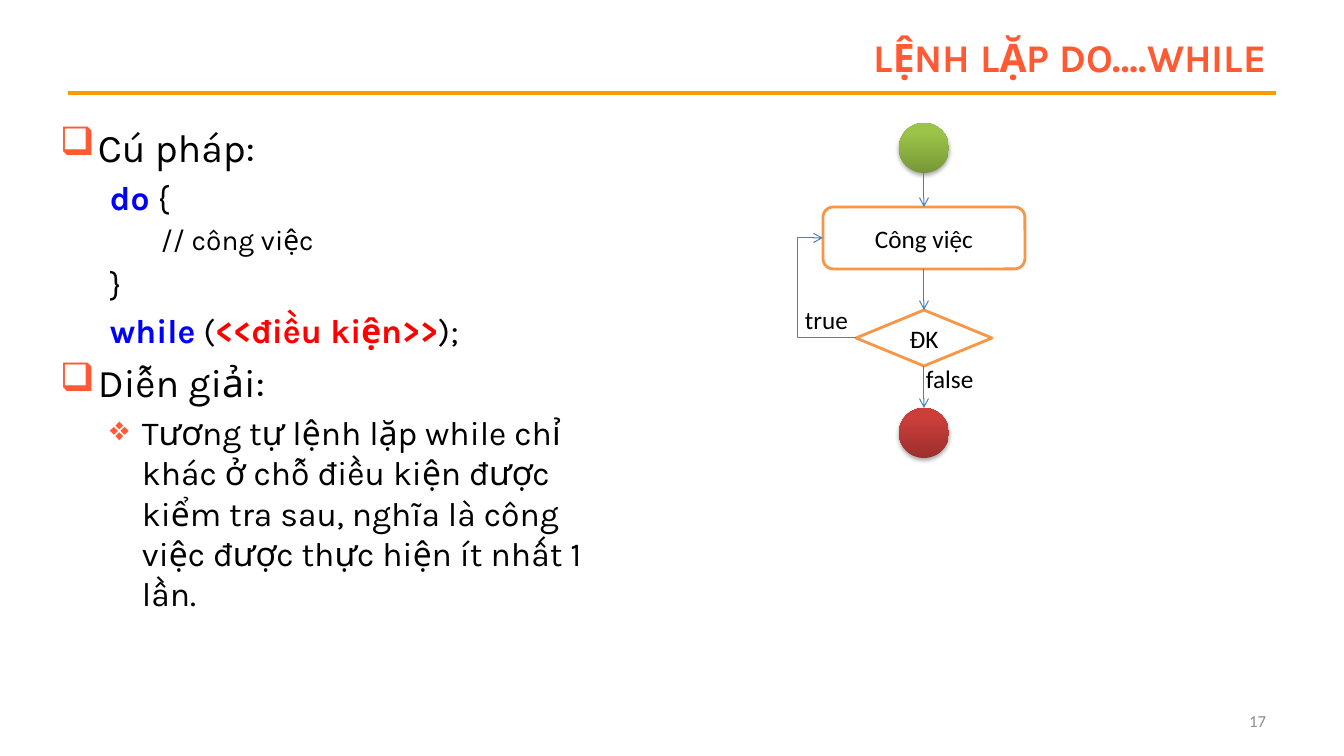
import pptx
import pptx.util
import pptx.dml.color
import pptx.enum.shapes
import pptx.enum.text
import pptx.oxml
import pptx.oxml.ns

SHAPE = pptx.enum.shapes.MSO_SHAPE
CONNECTOR = pptx.enum.shapes.MSO_CONNECTOR
ANCHOR = pptx.enum.text.MSO_ANCHOR
ALIGN = pptx.enum.text.PP_ALIGN
BLACK, ACCENT, KEYWORD, CONDITION = "000000", "FF5A33", "0000FF", "FF0000"
TOP, BOTTOM = 0, 2


def px(length):
    return pptx.util.Emu(round(length * 914400 / 100.8))


def rgb(value):
    return pptx.dml.color.RGBColor.from_string(value)


def add_xml(parent, body):
    tag, rest = body.split(" ", 1) if " " in body.split(">")[0] else (body[:-2], "/>")
    parent.append(pptx.oxml.parse_xml(f"{tag} {pptx.oxml.ns.nsdecls('a')} {rest}"))


class Slide:
    heading_font = "Karla"
    diagram_font = "Calibri"
    flow_color = "4B7EBC"
    outline_color = "F79646"

    def __init__(self, deck):
        self.shapes = deck.slides.add_slide(deck.slide_layouts[6]).shapes

    def style(self, font, face, size, color, bold=None):
        font.name, font.size, font.bold = face, pptx.util.Pt(size), bold
        font.color.rgb = rgb(color)

    def frame(self, left, top, width, height, anchor=ANCHOR.TOP, wrap=True):
        frame = self.shapes.add_textbox(px(left), px(top), px(width), px(height)).text_frame
        frame.word_wrap, frame.vertical_anchor = wrap, anchor
        return frame

    def text(self, words, box, size, color=BLACK, face=diagram_font, bold=None,
             align=ALIGN.LEFT, anchor=ANCHOR.TOP, wrap=True):
        paragraph = self.frame(*box, anchor, wrap).paragraphs[0]
        paragraph.text, paragraph.alignment = words, align
        self.style(paragraph.font, face, size, color, bold)

    def outline(self, items, box):
        frame = self.frame(*box)
        for index, (level, size, margin, indent, bullet, runs) in enumerate(items):
            paragraph = frame.add_paragraph() if index else frame.paragraphs[0]
            paragraph.level = level
            paragraph.space_before = pptx.util.Pt(size * 0.2)
            properties = paragraph._p.get_or_add_pPr()
            properties.set("marL", str(px(margin)))
            properties.set("indent", str(px(indent)))
            if bullet:
                add_xml(properties, f'<a:buClr ><a:srgbClr val="{ACCENT}"/></a:buClr>')
                add_xml(properties, f'<a:buChar char="{bullet}"/>')
            for words, color in runs:
                run = paragraph.add_run()
                run.text = words
                if len(runs) > 1:
                    self.style(run.font, self.heading_font, size, color, color != BLACK)
            if len(runs) == 1:
                self.style(paragraph.font, self.heading_font, size, runs[0][1])

    def terminal(self, left, top, size, dark, light):
        circle = self.shapes.add_shape(SHAPE.OVAL, px(left), px(top), px(size), px(size))
        circle.line.fill.background()
        circle.fill.gradient()
        circle.fill.gradient_angle = 90
        for stop, color, position in zip(circle.fill.gradient_stops, (dark, light), (0, 0.8)):
            stop.color.rgb, stop.position = rgb(color), position
        add_xml(circle._element.spPr,
                '<a:effectLst ><a:outerShdw blurRad="40000" dist="23000" dir="5400000" '
                'rotWithShape="0"><a:srgbClr val="000000"><a:alpha val="35000"/>'
                '</a:srgbClr></a:outerShdw></a:effectLst>')
        return circle

    def step(self, kind, words, left, top, width, height):
        box = self.shapes.add_shape(kind, px(left), px(top), px(width), px(height))
        box.shadow.inherit = False
        box.fill.solid()
        box.fill.fore_color.rgb = rgb("FFFFFF")
        box.line.color.rgb = rgb(self.outline_color)
        box.line.width = pptx.util.Pt(2)
        box.text_frame.vertical_anchor = ANCHOR.MIDDLE
        paragraph = box.text_frame.paragraphs[0]
        paragraph.text, paragraph.alignment = words, ALIGN.CENTER
        self.style(paragraph.font, self.diagram_font, 18, BLACK)
        return box

    def line(self, start, end, color=flow_color, width=0.75, kind=CONNECTOR.STRAIGHT, arrow=True):
        line = self.shapes.add_connector(kind, *map(px, start + end))
        line.line.color.rgb = rgb(color)
        line.line.width = pptx.util.Pt(width)
        if arrow:
            add_xml(line.line._get_or_add_ln(), '<a:tailEnd type="arrow"/>')
        add_xml(line._element.spPr, "<a:effectLst/>")
        return line

    def loop_back(self, start, end, bend):
        line = self.line(start, end, kind=CONNECTOR.ELBOW)
        add_xml(line._element.spPr.prstGeom.get_or_add_avLst(),
                f'<a:gd name="adj1" fmla="val {round(bend * 100000)}"/>')


def main():
    deck = pptx.Presentation()
    deck.slide_width, deck.slide_height = px(1344), px(756)
    slide = Slide(deck)

    slide.line((68, 93), (1276, 93), "FF9900", 3, arrow=False)
    slide.text("LỆNH LẶP DO….WHILE", (302, 30, 974, 53), 28, ACCENT, slide.heading_font,
               True, ALIGN.RIGHT, ANCHOR.MIDDLE)
    slide.text("17", (963, 701, 313, 40), 12, "8C8C8C", align=ALIGN.RIGHT, anchor=ANCHOR.MIDDLE)

    explanation = ("Tương tự lệnh lặp while chỉ khác ở chỗ điều kiện được kiểm tra sau, "
                   "nghĩa là công việc được thực hiện ít nhất 1 lần.")
    slide.outline([
        (0, 28, 38, -38, "❑", [("Cú pháp:", BLACK)]),
        (1, 24, 50, 0, None, [("do", KEYWORD), (" {", BLACK)]),
        (2, 20, 101, 0, None, [("// công việc", BLACK)]),
        (1, 24, 50, 0, None, [("}", BLACK)]),
        (1, 24, 50, 0, None, [("while", KEYWORD), (" (", BLACK),
                              ("<<điều kiện>>", CONDITION), (");", BLACK)]),
        (0, 28, 38, -38, "❑", [("Diễn giải:", BLACK)]),
        (1, 24, 82, -32, "❖", [(explanation, BLACK)]),
    ], (50, 118, 588, 580))

    axis = 924
    start = slide.terminal(axis - 25, 123, 50, "779737", "9BC348")
    finish = slide.terminal(axis - 25, 408, 50, "9C2F2D", "CB3E3A")
    decision = slide.step(SHAPE.FLOWCHART_DECISION, "ĐK", axis - 68, 310, 136, 56)
    work = slide.step(SHAPE.ROUNDED_RECTANGLE, "Công việc", axis - 101, 207, 202, 62)

    entry = slide.line((axis, 173), (axis, 207))
    entry.end_connect(work, TOP)
    check = slide.line((axis, 269), (axis, 310))
    check.begin_connect(work, BOTTOM)
    check.end_connect(decision, TOP)
    leave = slide.line((axis, 366), (axis, 408))
    leave.begin_connect(decision, BOTTOM)
    leave.end_connect(finish, TOP)
    slide.loop_back((856, 338), (823, 238), 1.775)

    slide.text("true", (795, 299, 64, 40), 18, wrap=False)
    slide.text("false", (916, 358, 69, 40), 18, wrap=False)

    deck.save("out.pptx")


if __name__ == "__main__":
    main()
